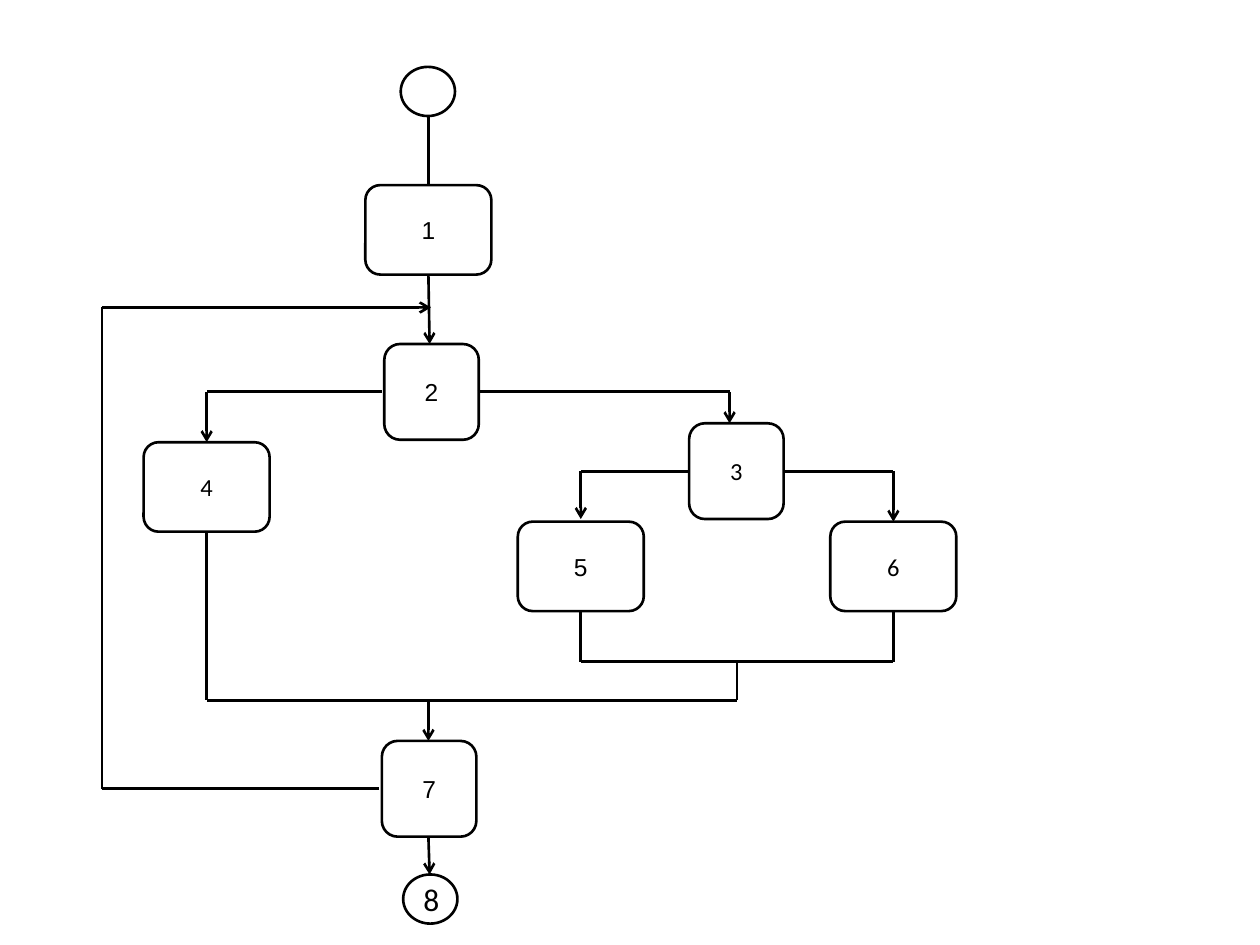
from itertools import pairwise

from lxml import etree
from pptx import Presentation
from pptx.dml.color import RGBColor
from pptx.enum.shapes import MSO_CONNECTOR as CONNECTOR, MSO_SHAPE as SHAPE
from pptx.enum.text import MSO_ANCHOR as ANCHOR, PP_ALIGN as ALIGN
from pptx.oxml.ns import qn
from pptx.util import Pt

COLORS = {"ink": "000000", "paper": "FFFFFF"}

# Node kinds: preset shape, width, height
WIDE = (SHAPE.ROUNDED_RECTANGLE, 72, 51.1)
SQUARE = (SHAPE.ROUNDED_RECTANGLE, 54, 54.7)
CIRCLE = (SHAPE.OVAL, 31, 28.1)


class FlowChart:
    """Draws nodes and routed lines in one style on the current slide."""

    line_width = 1.5

    def __init__(self, slide):
        self.slide = slide

    def color(self, name):
        return RGBColor.from_string(COLORS[name])

    def outline(self, line):
        line.color.rgb = self.color("ink")
        line.width = Pt(self.line_width)

    def node(self, kind, center_x, top, text="", font="Arial", size=14):
        preset, width, height = kind
        shape = self.slide.shapes.add_shape(
            preset, Pt(center_x - width / 2), Pt(top), Pt(width), Pt(height))
        shape.shadow.inherit = False
        shape.fill.solid()
        shape.fill.fore_color.rgb = self.color("paper")
        self.outline(shape.line)
        if text:
            shape.text_frame.vertical_anchor = ANCHOR.MIDDLE
            paragraph = shape.text_frame.paragraphs[0]
            paragraph.text = text
            paragraph.alignment = ALIGN.CENTER
            paragraph.font.name = font
            paragraph.font.size = Pt(size)
            paragraph.font.color.rgb = self.color("ink")

    def route(self, *points, arrow=False):
        """Join the points with straight lines; an arrow ends the last one."""
        for start, end in pairwise(points):
            connector = self.slide.shapes.add_connector(
                CONNECTOR.STRAIGHT, *(Pt(value) for value in start + end))
            self.outline(connector.line)
            properties = connector._element.spPr
            etree.SubElement(properties, qn("a:effectLst"))
        if arrow:
            etree.SubElement(properties.find(qn("a:ln")), qn("a:tailEnd"), type="arrow")


presentation = Presentation()
presentation.slide_width, presentation.slide_height = Pt(720), Pt(540)
chart = FlowChart(presentation.slides.add_slide(presentation.slide_layouts[6]))

# Shared centre lines and levels
main_x, left_x, loop_x = 244.8, 118.1, 58.3
five_x, six_x, join_x = 331.9, 510.5, 421.2
decision_y, branch_y = 223.9, 269.3
inner_join_y, outer_join_y = 378, 400.3
loop_top, loop_bottom = 175.7, 450.7

# Nodes
chart.node(CIRCLE, 244.5, 38.2)
chart.node(WIDE, main_x, 105.8, "1")
chart.node(SQUARE, 246.6, 196.6, "2")
chart.node(SQUARE, 420.8, 241.9, "3", "Calibri")
chart.node(WIDE, left_x, 252.7, "4", "Calibri")
chart.node(WIDE, five_x, 298.1, "5")
chart.node(WIDE, six_x, 298.1, "6", "Calibri")
chart.node(SQUARE, 245.2, 423.4, "7")
chart.node(CIRCLE, 245.9, 499.7, "8", "Calibri", 18)

# Main flow
chart.route((main_x, 66.2), (main_x, 105.8))
chart.route((main_x, 157), (245.5, 196.6), arrow=True)
chart.route((main_x, outer_join_y), (main_x, 423.4), arrow=True)
chart.route((main_x, 478.1), (245.5, 499.7), arrow=True)

# Branches
chart.route((218.2, decision_y), (left_x, decision_y), (left_x, 252.7), arrow=True)
chart.route((272.9, decision_y), (416.9, decision_y), (416.9, 241.9), arrow=True)
chart.route((393.8, branch_y), (five_x, branch_y), (five_x, 296.6), arrow=True)
chart.route((447.8, branch_y), (six_x, branch_y), (six_x, 298.1), arrow=True)

# Joins
chart.route((five_x, 349.2), (five_x, inner_join_y),
            (six_x, inner_join_y), (six_x, 349.2))
chart.route((left_x, 303.8), (left_x, outer_join_y),
            (join_x, outer_join_y), (join_x, inner_join_y))

# Loop back from 7 to 2
chart.route((216.7, loop_bottom), (loop_x, loop_bottom),
            (loop_x, loop_top), (246.2, loop_top), arrow=True)

presentation.save("out.pptx")
